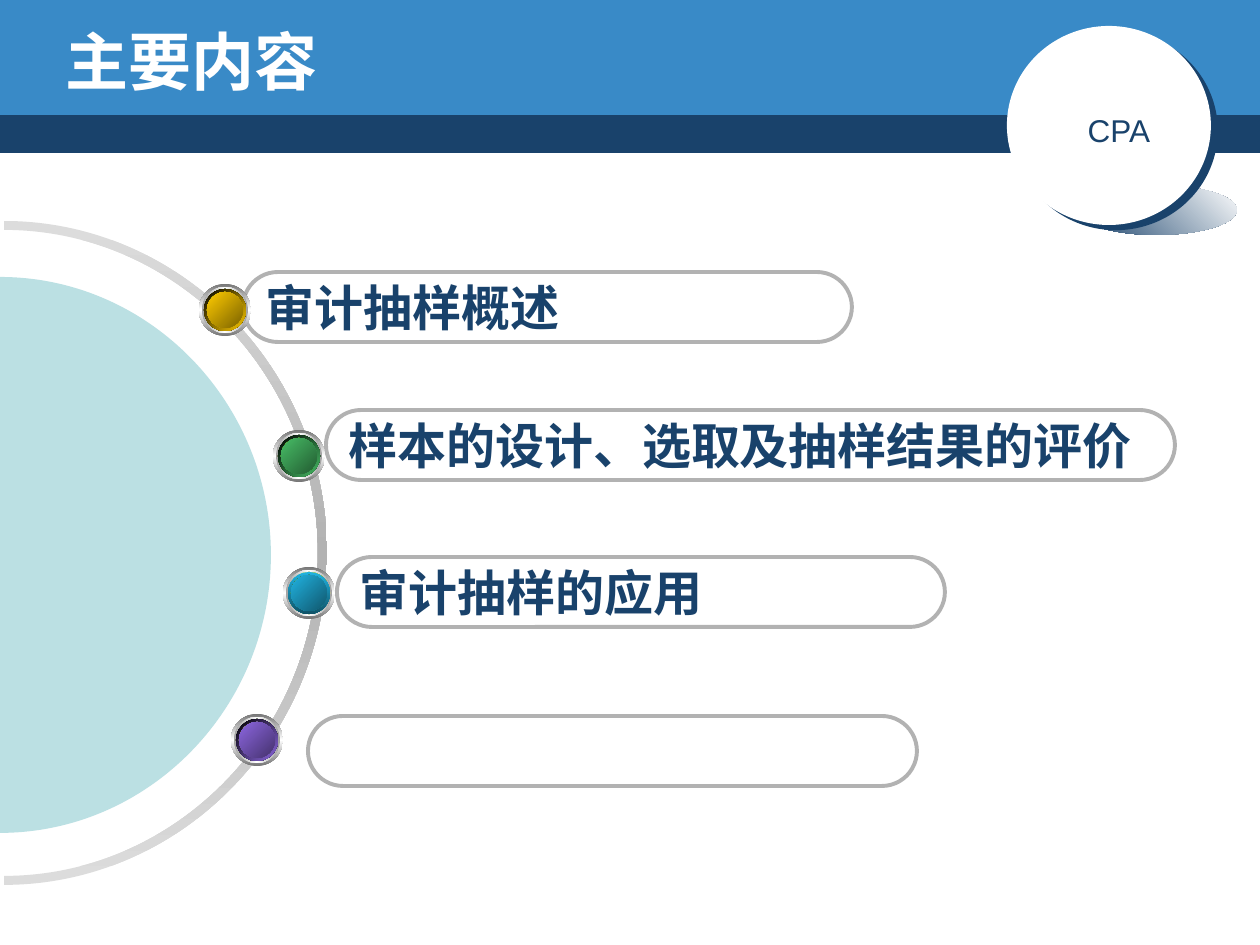
import pptx
import pptx.util
import pptx.dml.color
import pptx.enum.shapes
import pptx.enum.text
import pptx.oxml
import pptx.oxml.ns

PX = 914400 // 126
NAVY, BLUE, WHITE, GREY, AQUA = "19426B", "398AC7", "FFFFFF", "B2B2B2", "BBE0E3"
SHAPES = pptx.enum.shapes.MSO_SHAPE

# Content: pill text and box, then button corner, colour, dark shade and rim
TITLE = "主要内容"
BADGE = "CPA"
TOPICS = [
    {"text": "审计抽样概述", "pill": (243, 272, 609, 70), "button": (199, 284),
     "colors": ("FFCC00", "7C6300"), "rim": (("000000", "FFCC00"), 45)},
    {"text": "样本的设计、选取及抽样结果的评价", "pill": (326, 410, 849, 70), "button": (273, 430),
     "colors": ("48BE67", "235C32"), "rim": (("000000", "48BE67"), 45)},
    {"text": "审计抽样的应用", "pill": (337, 557, 608, 70), "button": (283, 567),
     "colors": ("21B3E1", "10576D"), "rim": (("21B3E1", "0F5368"), 90)},
    {"text": "", "pill": (308, 716, 609, 70), "button": (231, 714),
     "colors": ("8D67E1", "45326D"), "rim": (("000000", "8D67E1"), 45)},
]


def color(hex_string):
    return pptx.dml.color.RGBColor.from_string(hex_string)


def make_xml(body):
    namespace = pptx.oxml.ns.nsdecls("a")
    return pptx.oxml.parse_xml(body.replace(">", f" {namespace}>", 1))


def set_gradient(shape, colors, angle):
    """Spread the colours evenly; the angle runs clockwise in degrees."""
    step = 100000 // (len(colors) - 1)
    stops = "".join(f'<a:gs pos="{i * step}"><a:srgbClr val="{value}"/></a:gs>'
                    for i, value in enumerate(colors))
    gradient = make_xml(f'<a:gradFill rotWithShape="1"><a:gsLst>{stops}</a:gsLst>'
                        f'<a:lin ang="{angle * 60000}" scaled="0"/></a:gradFill>')
    shape.fill.background()
    properties = shape._element.spPr
    properties.replace(properties.find(pptx.oxml.ns.qn("a:noFill")), gradient)


def style(shape, fill=None, line=None, angle=0):
    shape.shadow.inherit = False
    if isinstance(fill, tuple):
        set_gradient(shape, fill, angle)
    elif fill:
        shape.fill.solid()
        shape.fill.fore_color.rgb = color(fill)
    else:
        shape.fill.background()
    if line:
        shape.line.color.rgb = color(line)
        shape.line.width = pptx.util.Pt(2.25)
    else:
        shape.line.fill.background()
    return shape


def add_shape(shapes, kind, box, **look):
    return style(shapes.add_shape(kind, *(value * PX for value in box)), **look)


def write(shape, text, size, font, text_color, bold=False, wrap=False):
    frame = shape.text_frame
    frame.word_wrap = wrap
    frame.auto_size = pptx.enum.text.MSO_AUTO_SIZE.NONE
    frame.vertical_anchor = pptx.enum.text.MSO_ANCHOR.MIDDLE
    paragraph = frame.paragraphs[0]
    paragraph.alignment = pptx.enum.text.PP_ALIGN.LEFT
    run = paragraph.add_run()
    run.text = text
    run.font.size = pptx.util.Pt(size)
    run.font.name = font
    run.font.bold = bold
    run.font.color.rgb = color(text_color)


def half_ellipse(center_x, center_y, radius_x, radius_y):
    """Bezier points of the right half, from top to bottom."""
    bend_x, bend_y = 0.55 * radius_x, 0.55 * radius_y
    offsets = [(0, -radius_y), (bend_x, -radius_y), (radius_x, -bend_y), (radius_x, 0),
               (radius_x, bend_y), (bend_x, radius_y), (0, radius_y)]
    return [(center_x + x, center_y + y) for x, y in offsets]


def add_curves(shapes, arcs, frame, **look):
    """Join Bezier arcs into one closed outline, placed within a frame in px."""
    left, top, width, height = frame
    anchors = [(x * PX, y * PX) for arc in arcs for x, y in arc[::3]]
    builder = shapes.build_freeform(*anchors[0])
    builder.add_line_segments(anchors[1:], close=True)
    shape = builder.convert_to_shape()
    shape.left, shape.top, shape.width, shape.height = (value * PX for value in frame)

    def points(group):
        return "".join(f'<a:pt x="{round((x - left) * PX)}" y="{round((y - top) * PX)}"/>'
                       for x, y in group)

    commands = ""
    for index, arc in enumerate(arcs):
        tag = "lnTo" if index else "moveTo"
        commands += f"<a:{tag}>{points(arc[:1])}</a:{tag}>"
        for start in (1, 4):
            commands += f"<a:cubicBezTo>{points(arc[start:start + 3])}</a:cubicBezTo>"
    outline = make_xml(f'<a:path w="{width * PX}" h="{height * PX}">{commands}<a:close/></a:path>')
    paths = shape._element.spPr.find(".//" + pptx.oxml.ns.qn("a:pathLst"))
    paths.replace(paths[0], outline)
    return style(shape, **look)


def add_button(shapes, corner, colors, rim):
    left, top = corner
    rim_colors, rim_angle = rim
    layers = [  # diameter, gradient, angle
        (52, ("767676", WHITE, "767676"), 90),
        (46, ("A2A2A2", WHITE, "A2A2A2"), 0),
        (42, (WHITE, "8BBC00", WHITE), 45),
        (42, rim_colors, rim_angle),
        (36, ("4B6600", "8BBC00", "4B6600"), 315),
        (36, colors, 45),
    ]
    group = shapes.add_group_shape()
    for size, gradient, angle in layers:
        inset = (layers[0][0] - size) // 2
        add_shape(group.shapes, SHAPES.OVAL, (left + inset, top + inset, size, size),
                  fill=gradient, angle=angle)


presentation = pptx.Presentation()
presentation.slide_width = pptx.util.Inches(10)
presentation.slide_height = pptx.util.Inches(7.5)
slide = presentation.slides.add_slide(presentation.slide_layouts[5])
shapes = slide.shapes

# Header bands
add_shape(shapes, SHAPES.RECTANGLE, (0, 110, 1260, 43), fill=NAVY)
add_shape(shapes, SHAPES.RECTANGLE, (0, 0, 1260, 115), fill=BLUE)

# Round badge with its cast shadow
badge = shapes.add_group_shape().shapes
add_shape(badge, SHAPES.OVAL, (1076, 185, 161, 50), fill=(NAVY, WHITE), angle=315)
disc = add_shape(badge, SHAPES.OVAL, (1007, 26, 204, 199), fill=WHITE)
effects = disc._element.spPr.find(pptx.oxml.ns.qn("a:effectLst"))
effects.append(make_xml(f'<a:outerShdw dist="63500" dir="{37 * 60000}" algn="ctr">'
                        f'<a:srgbClr val="{NAVY}"/></a:outerShdw>'))
label = add_shape(badge, SHAPES.OVAL, (1059, 96, 112, 68), fill=WHITE)
write(label, BADGE, 18, "Arial", NAVY)

# Title, raised above the bands
title = shapes.title
title.left, title.top, title.width, title.height = (v * PX for v in (53, 21, 1071, 78))
write(title, TITLE, 36, "DejaVu Sans", WHITE, bold=True, wrap=True)
shapes._spTree.append(title._element)

# Half ring and half disc, each framed as a whole circle
ring = [half_ellipse(4, 553, 323, 332), half_ellipse(4, 553, 314, 323)[::-1]]
add_curves(shapes, ring, (-334, 224, 665, 658), fill=("DCDCDC", GREY, "DCDCDC"), angle=90)
add_curves(shapes, [half_ellipse(0, 555, 271, 278)], (-277, 285, 556, 542), fill=AQUA)

# Pills from the bottom up, then the buttons over them
for topic in reversed(TOPICS):
    pill = add_shape(shapes, SHAPES.ROUNDED_RECTANGLE, topic["pill"], line=GREY)
    pill.adjustments[0] = 0.5
    if topic["text"]:
        write(pill, topic["text"], 28, "Arial", NAVY, bold=True)
for topic in TOPICS:
    add_button(shapes, topic["button"], topic["colors"], topic["rim"])

presentation.save("out.pptx")
